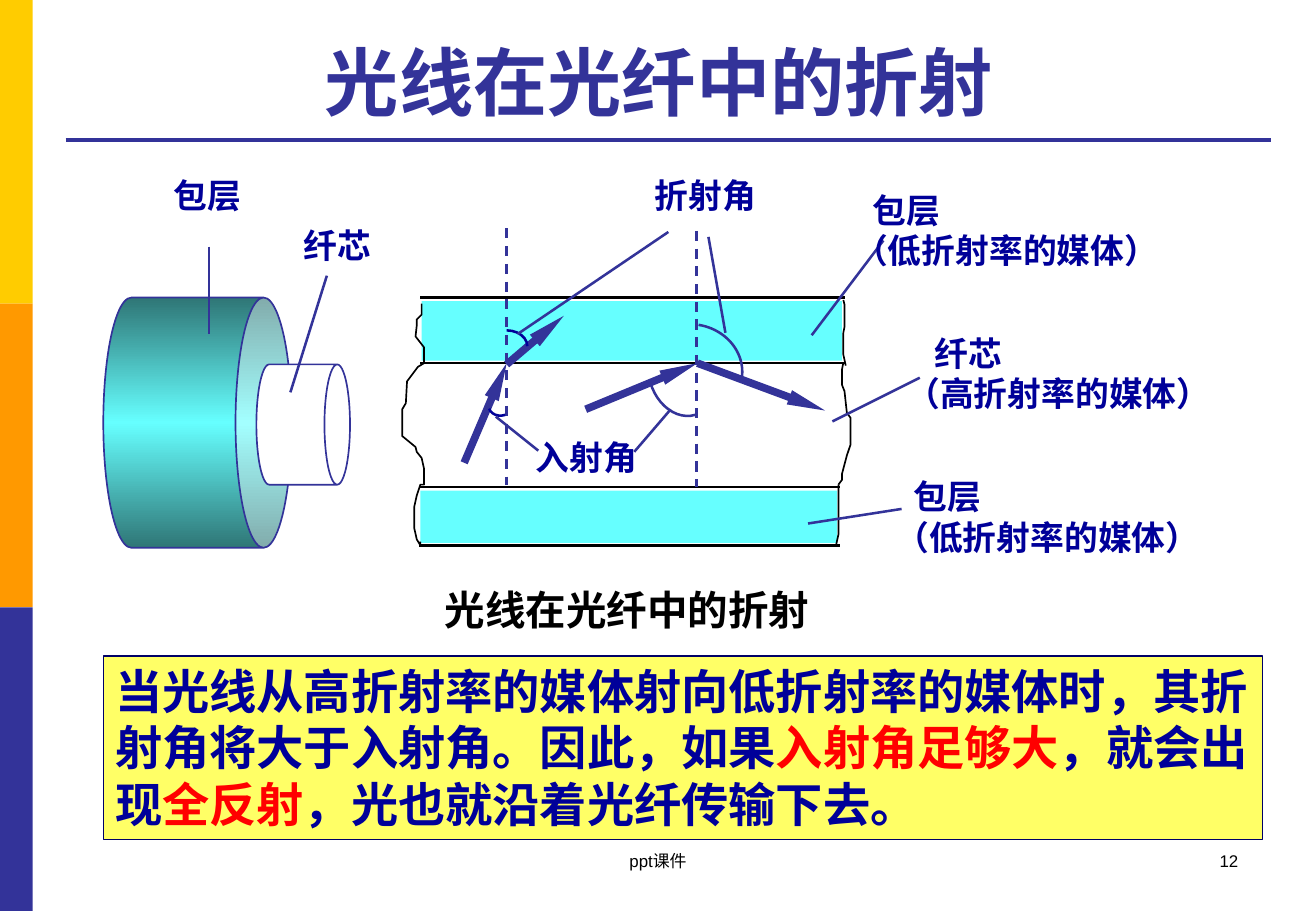
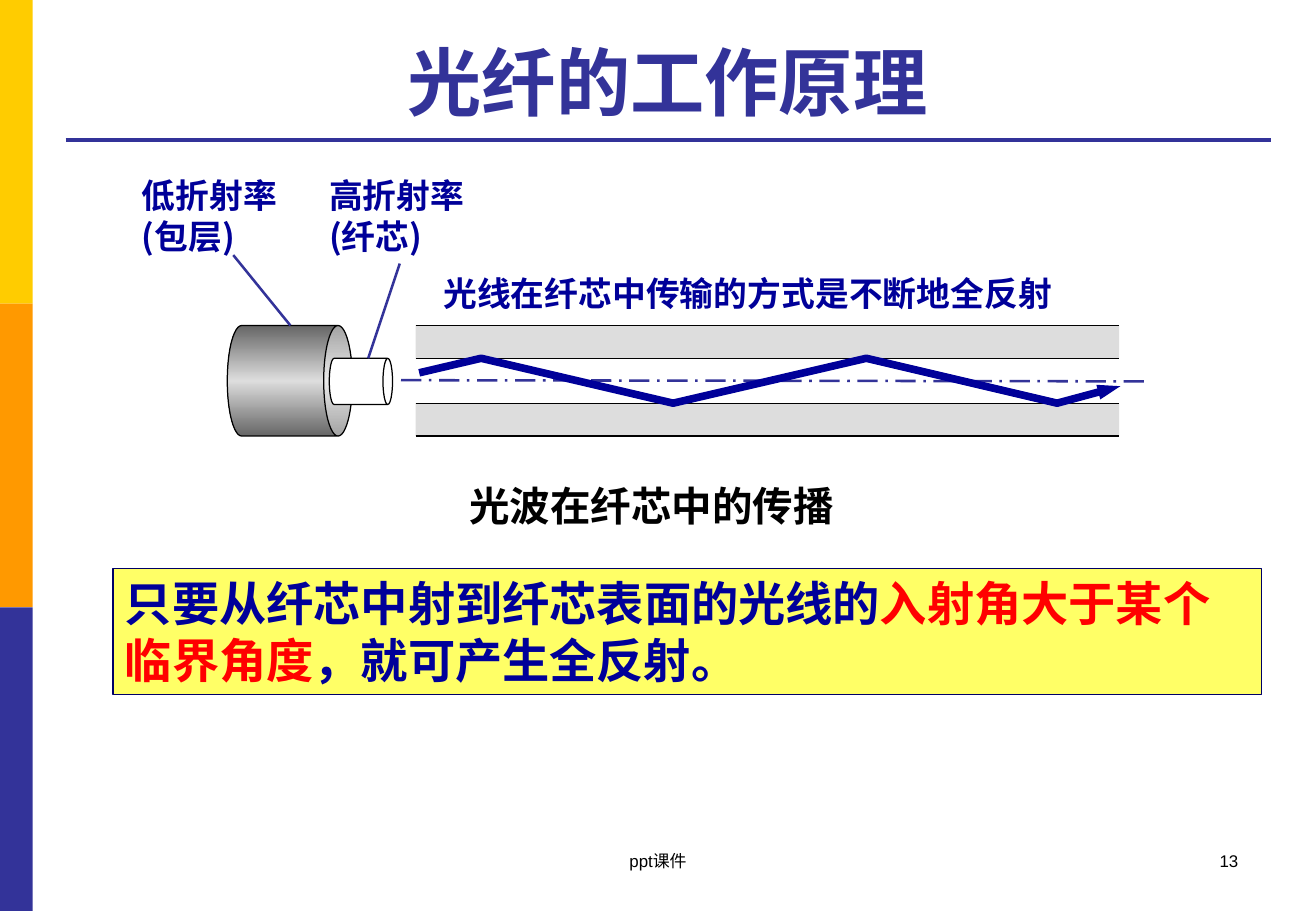
from copy import deepcopy
from dataclasses import dataclass
from typing import Any

from lxml import etree
from pptx import Presentation
from pptx import util as u
from pptx.dml.color import RGBColor
from pptx.enum import dml, shapes, text
from pptx.oxml.ns import qn

PX = 9144  # 100 px to the inch
WIDTH, HEIGHT = 1083, 750

YELLOW = RGBColor(0xFF, 0xCC, 0x00)
ORANGE = RGBColor(0xFF, 0x99, 0x00)
INDIGO = RGBColor(0x33, 0x33, 0x99)
NAVY = RGBColor(0x00, 0x00, 0x99)
DARK_NAVY = RGBColor(0x00, 0x00, 0x66)
RED = RGBColor(0xFF, 0x00, 0x00)
CYAN = RGBColor(0x66, 0xFF, 0xFF)
TEAL = RGBColor(0x2F, 0x76, 0x76)
LIGHT_GREY = RGBColor(0xDD, 0xDD, 0xDD)
DARK_GREY = RGBColor(0x66, 0x66, 0x66)
PALE_YELLOW = RGBColor(0xFF, 0xFF, 0x66)
WHITE = RGBColor(0xFF, 0xFF, 0xFF)
BLACK = RGBColor(0x00, 0x00, 0x00)

LATIN, CHINESE = "Arial", "Noto Sans CJK SC"
LEFT, CENTER, RIGHT = text.PP_ALIGN.LEFT, text.PP_ALIGN.CENTER, text.PP_ALIGN.RIGHT
DASH, DASH_DOT = dml.MSO_LINE.DASH, dml.MSO_LINE.LONG_DASH_DOT
SHAPE = shapes.MSO_SHAPE


def write(frame, content, size=20, color=NAVY, bold=True, align=LEFT,
          font=LATIN, anchor=text.MSO_ANCHOR.TOP, indent=0):
    """Fill a frame: lines split at newlines, parts between bars in red."""
    frame.word_wrap = True
    frame.auto_size = text.MSO_AUTO_SIZE.NONE
    frame.vertical_anchor = anchor
    for index, line in enumerate(content.split("\n")):
        paragraph = frame.add_paragraph() if index else frame.paragraphs[0]
        paragraph.alignment = align
        if indent and not index:
            paragraph._p.get_or_add_pPr().set("marL", str(indent * PX))
        for part, words in enumerate(line.split("|")):
            run = paragraph.add_run()
            run.text = words
            run.font.size = u.Pt(size)
            run.font.bold = bold
            run.font.name = font
            run.font.color.rgb = RED if part % 2 else color
            east_asian = etree.SubElement(run._r.get_or_add_rPr(), qn("a:ea"))
            east_asian.set("typeface", CHINESE)


def stroke(shape, color, width, dash=None, arrow=None):
    """Format an outline; arrow is the length of its end head."""
    shape.line.color.rgb = color
    shape.line.width = u.Pt(width)
    if dash:
        shape.line.dash_style = dash
    if arrow:
        outline = shape.element.spPr.find(qn("a:ln"))
        etree.SubElement(outline, qn("a:tailEnd"), type="triangle", w="sm", len=arrow)


@dataclass
class Region:
    """Part of a slide; lengths are px from its top left corner."""
    slide: Any
    left: int = 0
    top: int = 0

    def at(self, x, y):
        return int((self.left + x) * PX), int((self.top + y) * PX)

    def shape(self, kind, x, y, width, height, fill=None, line=None, weight=0.75):
        shape = self.slide.shapes.add_shape(
            kind, *self.at(x, y), int(width * PX), int(height * PX))
        shape.shadow.inherit = False
        if fill is None:
            shape.fill.background()
        else:
            shape.fill.solid()
            shape.fill.fore_color.rgb = fill
        if line is None:
            shape.line.fill.background()
        else:
            stroke(shape, line, weight)
        return shape

    def line(self, start, end, color=INDIGO, width=1.5, **style):
        connector = self.slide.shapes.add_connector(
            shapes.MSO_CONNECTOR.STRAIGHT, *self.at(*start), *self.at(*end))
        stroke(connector, color, width, **style)
        etree.SubElement(connector.element.spPr, qn("a:effectLst"))

    def polyline(self, points, color, width, **style):
        first, *others = [self.at(*point) for point in points]
        builder = self.slide.shapes.build_freeform(*first, scale=1.0)
        builder.add_line_segments(others, close=False)
        shape = builder.convert_to_shape()
        shape.shadow.inherit = False
        shape.fill.background()
        stroke(shape, color, width, **style)

    def arc(self, x, y, radius_x, radius_y, rotation=0, color=INDIGO):
        """Quarter ellipse around its centre."""
        shape = self.shape(SHAPE.ARC, x - radius_x, y - radius_y,
                           2 * radius_x, 2 * radius_y, line=color, weight=1.5)
        shape.rotation = rotation

    def cylinder(self, x, y, width, height, rim, line, weight, shades=None):
        """Lying cylinder; shades are its edge and middle colours."""
        middle_x, middle_y = x + width / 2, y + height / 2
        shape = self.shape(SHAPE.CAN, middle_x - height / 2, middle_y - width / 2,
                           height, width, WHITE, line, weight)
        shape.rotation = 90
        shape.adjustments[0] = rim
        if shades:
            edge, middle = shades
            shape.fill.gradient()
            shape.fill.gradient_angle = 0
            stops = shape.element.spPr.find(qn("a:gradFill")).find(qn("a:gsLst"))
            stops.append(deepcopy(stops[0]))
            for stop, place, color in zip(shape.fill.gradient_stops,
                                          (0, 0.5, 1), (edge, middle, edge)):
                stop.position = place
                stop.color.rgb = color

    def label(self, content, x, y, width, height=44, **style):
        box = self.slide.shapes.add_textbox(
            *self.at(x, y), width * PX, height * PX)
        write(box.text_frame, content, **style)


def add_page(presentation, title, number):
    """Slide with side bands, title, rule and footer."""
    slide = presentation.slides.add_slide(presentation.slide_layouts[5])
    page = Region(slide)
    band = HEIGHT // 3
    for index, color in enumerate((YELLOW, ORANGE, INDIGO)):
        page.shape(SHAPE.RECTANGLE, 0, index * band, 27, band, color)
    page.line((54, 115), (1046, 115), width=2.25)
    heading = slide.shapes.title
    heading.left, heading.top = page.at(54, 21)
    heading.width, heading.height = 991 * PX, 87 * PX
    write(heading.text_frame, title, size=44, color=INDIGO, align=CENTER,
          anchor=text.MSO_ANCHOR.BOTTOM)
    footer = dict(size=10, color=BLACK, bold=False)
    page.label(str(number), 776, 695, 253, 50, align=RIGHT, **footer)
    page.label("ppt课件", 370, 695, 343, 50, align=CENTER, **footer)
    return page


def add_conclusion(page, content, x, y, width, height):
    box = page.shape(SHAPE.RECTANGLE, x, y, width, height, PALE_YELLOW, DARK_NAVY)
    write(box.text_frame, content, size=28)


def add_fibre_end(region, cladding, core, shades, outline, labels, leaders, **style):
    """Cladding and core seen as cylinders, with labels and leaders."""
    region.cylinder(*cladding, *outline, shades)
    region.cylinder(*core, *outline)
    for label in labels:
        region.label(*label, **style)
    for leader in leaders:
        region.line(*leader)


def add_refraction(region):
    """Lengthwise section with rays crossing the boundary."""
    # Cladding bands
    for x, y, width, height in ((46, 145, 349, 54), (45, 301, 346, 48)):
        region.shape(SHAPE.RECTANGLE, x + 1, y + 3, width - 3, height - 5, CYAN)
        for edge in (y, y + height):
            region.line((x, edge), (x + width, edge), BLACK)

    # Broken edges
    for edge in (
        [(47, 150), (47, 159), (43, 163), (43, 168), (42, 177), (49, 186),
         (49, 199), (44, 202), (35, 214), (34, 232), (31, 237), (31, 259),
         (42, 268), (43, 272), (47, 277), (49, 286), (49, 299), (46, 299),
         (43, 308), (41, 317), (41, 335), (43, 344), (46, 349), (46, 346)],
        [(394, 147), (395, 151), (395, 169), (394, 174), (394, 192), (396, 201)],
        [(394, 199), (393, 204), (393, 217), (395, 222), (397, 240), (400, 244),
         (400, 266), (397, 275), (393, 290), (393, 295), (390, 299)],
        [(390, 299), (390, 340), (388, 349)],
    ):
        region.polyline(edge, BLACK, 1)

    # Normals and rays
    region.line((117, 88), (117, 299), dash=DASH)
    region.line((273, 90), (273, 301), dash=DASH)
    for ray in (((117, 200), (164, 160)), ((82, 281), (117, 199)),
                ((182, 237), (274, 199)), ((274, 199), (379, 238))):
        region.line(*ray, width=4.5, arrow="lg")

    # Angles
    region.arc(113, 233, 11, 9, 162, NAVY)
    region.arc(117, 185, 17, 13, 0, NAVY)
    region.arc(262, 207, 28, 36, 164)
    region.arc(269, 205, 42, 38, 9)

    # Leaders and labels
    for leader in (((283, 95), (297, 174)), ((126, 175), (250, 91)),
                   ((108, 243), (143, 271)), ((222, 272), (252, 237)),
                   ((385, 247), (457, 211)), ((427, 98), (368, 176)),
                   ((442, 319), (365, 331))):
        region.line(*leader)
    region.label("折射角", 229, 39, 105)
    region.label("入射角", 131, 255, 130)
    low, high = "包层\n（低折射率的媒体）", "纤芯\n（高折射率的媒体）"
    region.label(low, 393, 51, 274, 77, indent=15)
    region.label(high, 436, 169, 302, 77, indent=23)
    region.label(low, 427, 287, 274, 77, indent=15)


def add_propagation(region):
    """Lengthwise section with a ray reflected along the core."""
    length, edges = 579, (68, 95, 132, 159)
    for top, bottom, color in zip(edges, edges[1:], (LIGHT_GREY, WHITE, LIGHT_GREY)):
        region.shape(SHAPE.RECTANGLE, 42, top, length, bottom - top, color)
    for edge in edges:
        region.line((42, edge), (42 + length, edge), BLACK, 0.75)
    region.line((30, 113), (643, 114), dash=DASH_DOT)
    region.label("光线在纤芯中传输的方式是不断地全反射", 55, 20, 528, font=CHINESE)
    region.polyline([(45, 107), (96, 95), (254, 132), (413, 95), (570, 132),
                     (622, 118)], NAVY, 4.5, arrow="med")


def main():
    presentation = Presentation()
    presentation.slide_width, presentation.slide_height = WIDTH * PX, HEIGHT * PX
    caption = dict(size=24, color=BLACK, align=CENTER)

    # Refraction
    page = add_page(presentation, "光线在光纤中的折射 ", 12)
    add_refraction(Region(page.slide, 300, 100))
    add_fibre_end(
        Region(page.slide, 80, 100),
        cladding=(5, 145, 155, 206, 0.298), core=(131, 200, 77, 99, 0.273),
        shades=(TEAL, CYAN), outline=(INDIGO, 1),
        labels=(("包层", 53, 39, 77), ("纤芯", 160, 80, 83)),
        leaders=(((92, 103), (92, 175)), ((189, 127), (159, 223))))
    page.label("光线在光纤中的折射", 250, 477, 532, 50, **caption)
    add_conclusion(
        page, "当光线从高折射率的媒体射向低折射率的媒体时，其折射角将大于入射角。因此，"
        "如果|入射角足够大|，就会出现|全反射|，光也就沿着光纤传输下去。",
        85, 540, 954, 151)

    # Working principle
    page = add_page(presentation, "光纤的工作原理", 13)
    add_propagation(Region(page.slide, 300, 200))
    add_fibre_end(
        Region(page.slide, 100, 100),
        cladding=(87, 168, 103, 91, 0.26), core=(171, 195, 52, 38, 0.207),
        shades=(DARK_GREY, LIGHT_GREY), outline=(BLACK, 0.75),
        labels=(("高折射率\n(纤芯)", 161, 39, 133, 77),
                ("低折射率\n(包层)", 7, 39, 133, 77)),
        leaders=(((229, 117), (203, 195)), ((92, 110), (139, 168))),
        font=CHINESE)
    page.label("光波在纤芯中的传播", 235, 391, 602, 51, **caption)
    add_conclusion(
        page, "只要从纤芯中射到纤芯表面的光线的|入射角大于某个临界角度|，就可产生全反射。",
        93, 468, 945, 104)

    presentation.save("out.pptx")


if __name__ == "__main__":
    main()
